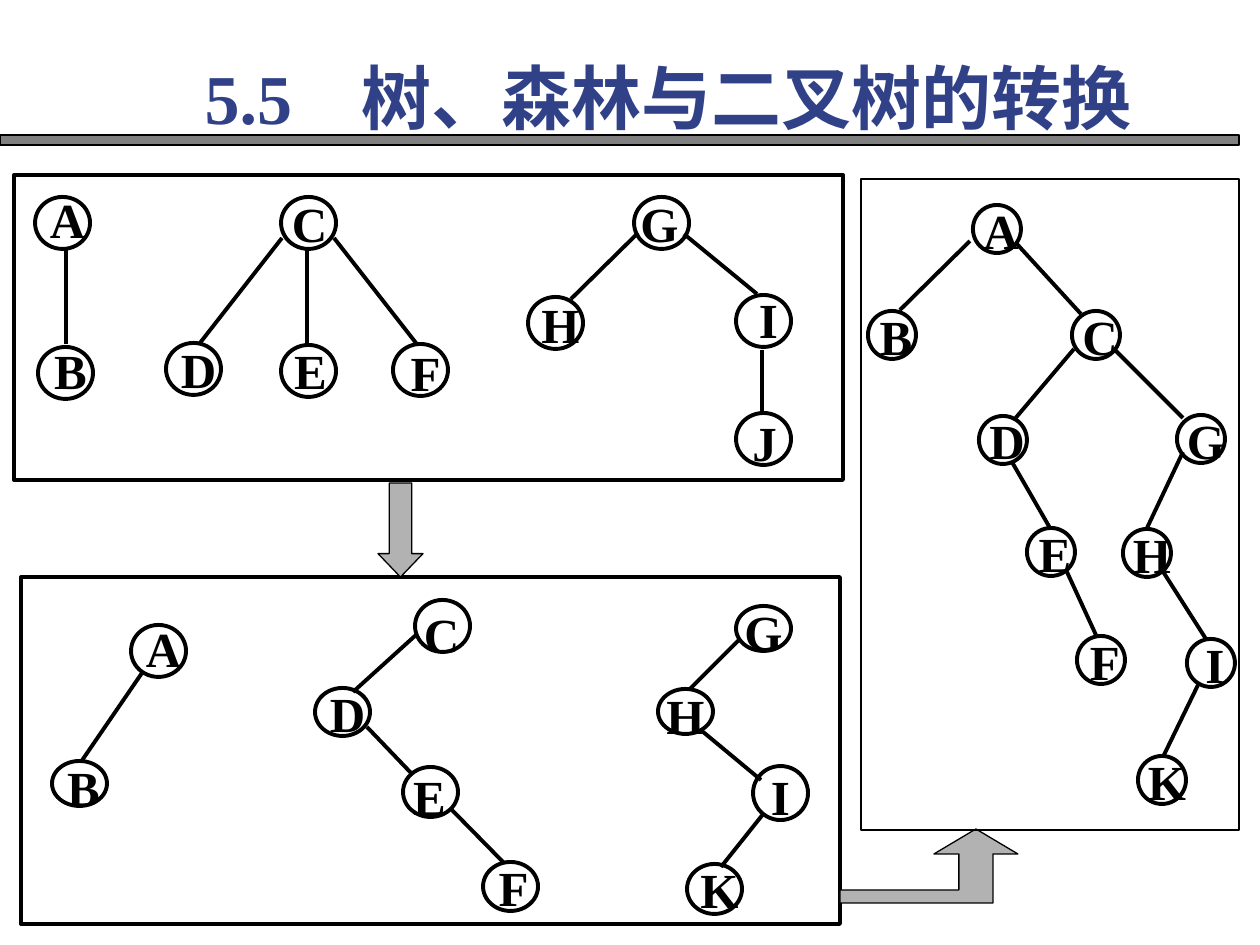
from lxml.etree import SubElement
from pptx import Presentation
from pptx.dml.color import RGBColor
from pptx.enum.shapes import MSO_CONNECTOR, MSO_SHAPE
from pptx.enum.text import MSO_ANCHOR, MSO_AUTO_SIZE, PP_ALIGN
from pptx.oxml.ns import qn
from pptx.util import Pt

EMU_PER_PX = 914400 / 126
FONT = "Times New Roman"
BLACK, BAR_GRAY, ARROW_GRAY, TITLE_BLUE = "000000", "808080", "B2B2B2", "314187"
THIN, THICK = 0.75, 2.25

# Nodes: letter, circle left, top, height, label offset x, y
FOREST_NODES = [
    ("A", 35, 197, 52, 9, -12), ("B", 38, 347, 52, 9, -11),
    ("C", 281, 197, 52, 5, -8), ("D", 166, 343, 52, 9, -8),
    ("E", 281, 345, 52, 6, -9), ("F", 393, 344, 52, 9, -6),
    ("G", 634, 197, 52, 2, -8), ("H", 528, 297, 52, 9, -7),
    ("I", 736, 295, 52, 9, -10), ("J", 736, 413, 52, 5, -5),
]
BINARY_FOREST_NODES = [
    ("A", 131, 625, 52, 9, -11), ("B", 52, 761, 45, 8, -9),
    ("C", 415, 600, 52, 3, -1), ("D", 315, 688, 48, 9, -10),
    ("E", 403, 767, 50, 3, -6), ("F", 483, 862, 49, 7, -10),
    ("G", 736, 606, 45, 4, -10), ("H", 658, 689, 45, 4, -9),
    ("I", 753, 766, 54, 4, -5), ("K", 687, 864, 50, 9, -10),
]
# Merged tree: every circle and label offset has the same size
MERGED_TREE_NODES = [
    (letter, left, top, 48, 8, -10) for letter, left, top in [
        ("A", 973, 205), ("B", 868, 311), ("C", 1072, 311), ("D", 979, 416),
        ("G", 1177, 415), ("E", 1027, 528), ("H", 1123, 529),
        ("F", 1077, 636), ("I", 1187, 639), ("K", 1138, 756),
    ]
]

# Edges: start x, y, end x, y
FOREST_EDGES = [
    (66, 249, 66, 344), (282, 238, 200, 343), (307, 249, 307, 344),
    (334, 238, 416, 343), (638, 233, 571, 299), (684, 234, 757, 294),
    (762, 350, 762, 411),
]
BINARY_FOREST_EDGES = [
    (142, 673, 81, 762), (416, 635, 353, 692), (367, 727, 413, 775),
    (450, 808, 504, 863), (740, 639, 690, 689), (702, 731, 761, 780),
    (764, 813, 721, 867),
]
MERGED_TREE_EDGES = [
    (970, 241, 900, 310), (1016, 243, 1081, 314), (1074, 349, 1014, 420),
    (1115, 350, 1183, 418), (1012, 462, 1050, 528), (1183, 452, 1147, 528),
    (1067, 572, 1096, 635), (1162, 570, 1206, 639), (1198, 685, 1164, 755),
]
TURN_ARROW = [
    (840, 890), (959, 890), (959, 854), (934, 854), (976, 829),
    (1018, 854), (993, 854), (993, 903), (840, 903),
]


def px(value):
    return round(value * EMU_PER_PX)


def color(hex_text):
    return RGBColor.from_string(hex_text)


def style_shape(shape, fill, line_width):
    shape.shadow.inherit = False
    if fill:
        shape.fill.solid()
        shape.fill.fore_color.rgb = color(fill)
    else:
        shape.fill.background()
    shape.line.color.rgb = color(BLACK)
    shape.line.width = Pt(line_width)


def add_outline(slide, kind, box, line_width, fill=None):
    shape = slide.shapes.add_shape(kind, *map(px, box))
    style_shape(shape, fill, line_width)
    return shape


def add_run(paragraph, text, size, hex_text):
    run = paragraph.add_run()
    run.text = text
    run.font.name = FONT
    run.font.size = Pt(size)
    run.font.bold = True
    run.font.color.rgb = color(hex_text)


def add_label(slide, letter, box):
    frame = slide.shapes.add_textbox(*map(px, box)).text_frame
    frame.word_wrap = True
    frame.margin_left = frame.margin_right = px(2)
    frame.margin_top, frame.margin_bottom = px(5), px(1)
    paragraph = frame.paragraphs[0]
    paragraph.alignment = PP_ALIGN.CENTER
    add_run(paragraph, letter, 28, BLACK)


def add_edge(slide, points):
    connector = slide.shapes.add_connector(MSO_CONNECTOR.STRAIGHT, *map(px, points))
    connector.line.color.rgb = color(BLACK)
    connector.line.width = Pt(THICK)
    SubElement(connector._element.spPr, qn("a:effectLst"))


def add_trees(slide, nodes, edges, circle_width, label_size):
    for letter, left, top, height, offset_x, offset_y in nodes:
        add_label(slide, letter, (left + offset_x, top + offset_y, *label_size))
        add_outline(slide, MSO_SHAPE.OVAL, (left, top, circle_width, height), THICK)
    for points in edges:
        add_edge(slide, points)


def add_turn_arrow(slide):
    builder = slide.shapes.build_freeform(*TURN_ARROW[0], scale=EMU_PER_PX)
    builder.add_line_segments(TURN_ARROW[1:], close=True)
    style_shape(builder.convert_to_shape(), ARROW_GRAY, THIN)


def set_title(slide, text):
    title = slide.shapes.title
    title.left, title.top, title.width, title.height = map(px, (192, 48, 971, 97))
    frame = title.text_frame
    frame.word_wrap = True
    frame.auto_size = MSO_AUTO_SIZE.NONE
    frame.vertical_anchor = MSO_ANCHOR.MIDDLE
    paragraph = frame.paragraphs[0]
    paragraph.alignment = PP_ALIGN.JUSTIFY
    add_run(paragraph, text, 40, TITLE_BLUE)


def main():
    presentation = Presentation()
    presentation.slide_width, presentation.slide_height = px(1260), px(945)
    slide = presentation.slides.add_slide(presentation.slide_layouts[5])

    # Heading
    add_outline(slide, MSO_SHAPE.RECTANGLE, (0, 135, 1239, 10), THIN, BAR_GRAY)
    set_title(slide, "5.5　树、森林与二叉树的转换")

    # Forest of ordinary trees
    add_outline(slide, MSO_SHAPE.RECTANGLE, (14, 175, 829, 305), THICK)
    add_trees(slide, FOREST_NODES, FOREST_EDGES, 55, (47, 63))

    # Each tree as a binary tree
    add_outline(slide, MSO_SHAPE.RECTANGLE, (21, 577, 819, 347), THICK)
    add_trees(slide, BINARY_FOREST_NODES, BINARY_FOREST_EDGES, 55, (47, 56))

    # Arrows between the steps
    down_arrow = add_outline(
        slide, MSO_SHAPE.DOWN_ARROW, (378, 483, 45, 94), THIN, ARROW_GRAY)
    down_arrow.adjustments[1] = 0.52
    add_turn_arrow(slide)

    # Merged binary tree
    add_outline(slide, MSO_SHAPE.RECTANGLE, (861, 179, 378, 651), THIN)
    add_trees(slide, MERGED_TREE_NODES, MERGED_TREE_EDGES, 48, (40, 58))

    presentation.save("out.pptx")


if __name__ == "__main__":
    main()
